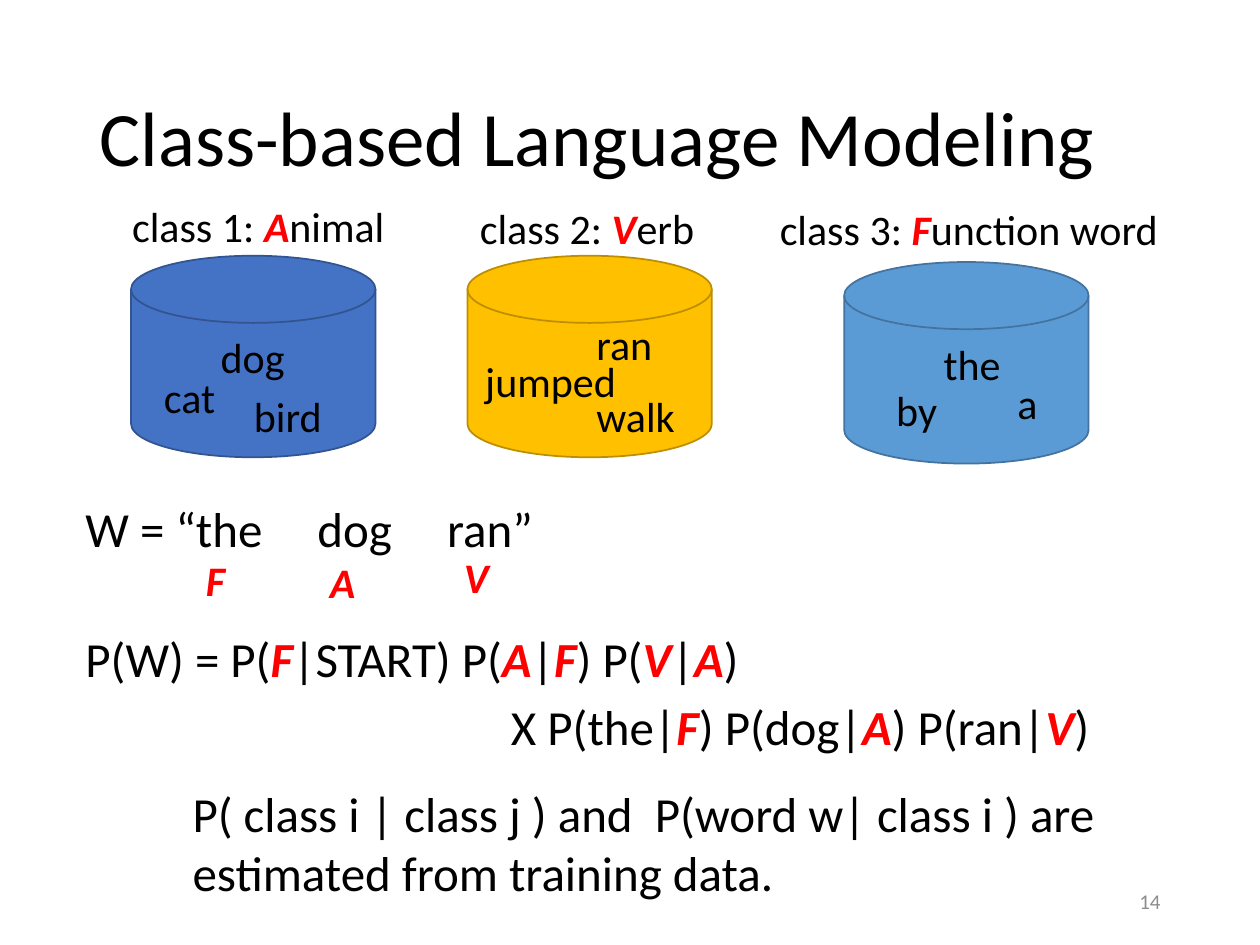
from lxml.etree import SubElement
from pptx import Presentation
from pptx.dml.color import RGBColor
from pptx.enum.shapes import MSO_SHAPE as SHAPE
from pptx.enum.text import MSO_ANCHOR as ANCHOR, MSO_AUTO_SIZE as AUTO, PP_ALIGN as ALIGN
from pptx.oxml.ns import qn
from pptx.util import Inches, Pt

BLACK = RGBColor(0x00, 0x00, 0x00)
RED = RGBColor(0xFF, 0x00, 0x00)
GRAY = RGBColor(0x8C, 0x8C, 0x8C)
BLUE, BLUE_EDGE = RGBColor(0x44, 0x72, 0xC4), RGBColor(0x32, 0x54, 0x91)
GOLD, GOLD_EDGE = RGBColor(0xFF, 0xC0, 0x00), RGBColor(0xBD, 0x8E, 0x00)
SKY, SKY_EDGE = RGBColor(0x5B, 0x9B, 0xD5), RGBColor(0x43, 0x73, 0x9E)


def write(tf, text, size=24, color=BLACK, align=ALIGN.LEFT, anchor=ANCHOR.TOP):
    """Fill a text frame; parts between asterisks are red bold italic."""
    tf.word_wrap = True
    tf.auto_size = AUTO.NONE
    tf.vertical_anchor = anchor
    p = tf.paragraphs[0]
    p.alignment = align
    for i, part in enumerate(text.split("*")):
        if not part:
            continue
        symbol = i % 2 == 1
        r = p.add_run()
        r.text = part
        r.font.name = "Calibri"
        r.font.size = Pt(size)
        r.font.bold = r.font.italic = symbol
        r.font.color.rgb = RED if symbol else color
    return p


def add_text(s, x, y, w, h, text, **fmt):
    """Add a text box and return its paragraph."""
    box = s.shapes.add_textbox(Inches(x), Inches(y), Inches(w), Inches(h))
    return write(box.text_frame, text, **fmt)


def add_title(s, x, y, w, h, text):
    """Place and fill the title placeholder."""
    title = s.shapes.title
    title.left, title.top = Inches(x), Inches(y)
    title.width, title.height = Inches(w), Inches(h)
    p = write(title.text_frame, text, size=44, anchor=ANCHOR.MIDDLE)
    p.line_spacing = 0.9


def add_class(s, x, y, fill, edge, label, label_box, words):
    """Draw a word class: a disk at x, y, its label and words at offsets from it."""
    disk = s.shapes.add_shape(SHAPE.FLOWCHART_MAGNETIC_DISK,
                              Inches(x), Inches(y), Inches(1.94), Inches(1.6))
    disk.shadow.inherit = False
    disk.fill.solid()
    disk.fill.fore_color.rgb = fill
    disk.line.color.rgb = edge
    disk.line.width = Pt(1)
    dx, dy, w = label_box
    add_text(s, x + dx, y + dy, w, 0.5, label)
    for word, dx, dy, w in words:
        add_text(s, x + dx, y + dy, w, 0.5, word, align=ALIGN.CENTER)


def add_sentence(s, x, y):
    """Write the example sentence on tab stops, with class symbols below."""
    p = add_text(s, x, y, 4.65, 0.57, "W = “the\tdog\tran”", size=28)
    tabs = SubElement(p._p.get_or_add_pPr(), qn("a:tabLst"))
    for stop in (1.84, 2.87):
        SubElement(tabs, qn("a:tab"), pos=str(Inches(stop)), algn="l")
    for symbol, dx, dy in (("*F*", 0.49, 0.44), ("*A*", 1.5, 0.46), ("*V*", 2.56, 0.42)):
        add_text(s, x + dx, y + dy, 1.28, 0.5, symbol, align=ALIGN.CENTER)


def add_formula(s, x, y):
    """Write the probability of the sentence and the note on its estimation."""
    add_text(s, x, y, 9.4, 0.57, "P(W) = P(*F*|START) P(*A*|*F*) P(*V*|*A*)", size=28)
    add_text(s, x + 3.1, y + 0.54, 5.34, 0.57,
             "X P(the|*F*) P(dog|*A*) P(ran|*V*)", size=28, align=ALIGN.CENTER)
    add_text(s, x + 0.85, y + 1.23, 7.85, 1.04,
             "P( class i | class j ) and  P(word w| class i ) are "
             "estimated from training data.", size=28)


def build():
    """Build the slide and save it."""
    prs = Presentation()
    prs.slide_width, prs.slide_height = Inches(10), Inches(7.5)
    s = prs.slides.add_slide(prs.slide_layouts[5])
    add_title(s, 0.69, 0.4, 8.62, 1.45, "Class-based Language Modeling")
    add_class(s, 1.04, 2.03, BLUE, BLUE_EDGE, "class 1: *A*nimal", (-0.09, -0.49, 2.39),
              [("dog", 0.48, 0.55, 0.97), ("cat", -0.02, 0.87, 0.97),
               ("bird", 0.76, 1.02, 0.97)])
    add_class(s, 3.71, 2.03, GOLD, GOLD_EDGE, "class 2: *V*erb", (0, -0.47, 2.09),
              [("ran", 0.76, 0.45, 0.97), ("jumped", -0.06, 0.74, 1.44),
               ("walk", 0.85, 1.02, 0.97)])
    add_class(s, 6.7, 2.08, SKY, SKY_EDGE, "class 3: *F*unction word", (-0.61, -0.51, 3.45),
              [("the", 0.53, 0.56, 0.97), ("by", 0.09, 0.92, 0.97),
               ("a", 0.97, 0.87, 0.97)])
    add_sentence(s, 0.58, 3.91)
    add_formula(s, 0.58, 4.94)
    add_text(s, 7.06, 6.95, 2.25, 0.4, "14", size=12, color=GRAY,
             align=ALIGN.RIGHT, anchor=ANCHOR.MIDDLE)
    prs.save("out.pptx")


build()
